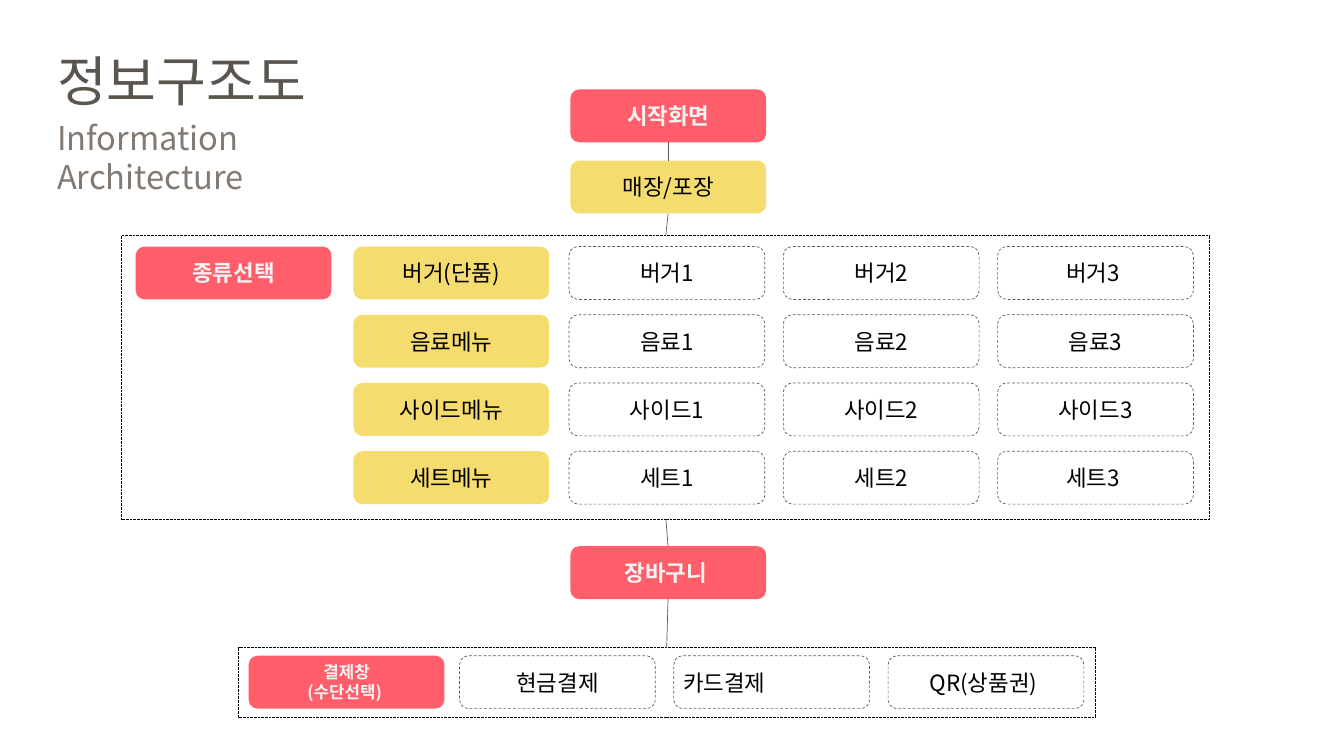
import dataclasses

import lxml.etree
import pptx
import pptx.dml.color
import pptx.enum.dml
import pptx.enum.shapes
import pptx.enum.text
import pptx.oxml.ns
import pptx.util

Cm = pptx.util.Cm
RGBColor = pptx.dml.color.RGBColor
Align = pptx.enum.text.PP_ALIGN
Anchor = pptx.enum.text.MSO_ANCHOR
Dash = pptx.enum.dml.MSO_LINE
ShapeKind = pptx.enum.shapes.MSO_SHAPE
qn = pptx.oxml.ns.qn

FONT = "Noto Sans CJK KR"
TITLE_COLOR = RGBColor(0x5B, 0x55, 0x4F)
SUBTITLE_COLOR = RGBColor(0x82, 0x7A, 0x73)
CORAL = RGBColor(0xFF, 0x42, 0x50)
YELLOW = RGBColor(0xF5, 0xDC, 0x6E)
BLACK = RGBColor(0x00, 0x00, 0x00)
GRAY = RGBColor(0x59, 0x59, 0x59)
PALE = RGBColor(0xF3, 0xF3, 0xF3)

BOX_WIDTH, BOX_HEIGHT = 7.4, 2.0
CENTER_LEFT = 21.56
CATEGORY_LEFT, ITEM_LEFT, ITEM_STEP = 13.36, 21.51, 8.1
MENU_TOP, MENU_STEP = 9.32, 2.58
PAYMENT_LEFT, PAYMENT_TOP = 17.37, 24.79


@dataclasses.dataclass(frozen=True)
class BoxStyle:
    text_color: RGBColor
    fill: RGBColor | None = None
    opacity: int = 100
    bold: bool = False


@dataclasses.dataclass(frozen=True)
class Box:
    text: str
    left: float
    top: float
    style: BoxStyle
    size: int = 24
    align: Align = Align.CENTER


@dataclasses.dataclass(frozen=True)
class Area:
    left: float
    top: float
    width: float
    height: float

    def lengths(self) -> list[Cm]:
        return [Cm(value) for value in dataclasses.astuple(self)]


@dataclasses.dataclass(frozen=True)
class Link:
    start_x: float
    start_y: float
    end_x: float
    end_y: float


SCREEN = BoxStyle(PALE, CORAL, opacity=85, bold=True)
CATEGORY = BoxStyle(BLACK, YELLOW)
ITEM = BoxStyle(BLACK)

MENUS = {
    "버거(단품)": ("버거1", "버거2", "버거3 "),
    "음료메뉴": ("음료1", "음료2", "음료3"),
    "사이드메뉴": ("사이드1", "사이드2", "사이드3"),
    "세트메뉴": ("세트1", "세트2", "세트3 "),
}
PAYMENTS = (
    ("현금결제", Align.CENTER),
    ("카드결제", Align.LEFT),
    ("QR(상품권) ", Align.CENTER),
)
FRAMES = (Area(9.02, 24.49, 32.39, 2.64), Area(4.6, 8.89, 41.12, 10.74))
LINKS = (
    Link(25.25, 5.37, 25.25, 6.07),
    Link(25.25, 8.08, 25.17, 8.89),
    Link(25.17, 19.63, 25.25, 20.65),
    Link(25.25, 22.64, 25.2, 24.49),
)


def write_text(text_frame, text: str, *, size: int, color: RGBColor,
               align: Align, bold: bool = False) -> None:
    text_frame.word_wrap = True
    for index, line in enumerate(text.split("\n")):
        paragraph = text_frame.add_paragraph() if index else text_frame.paragraphs[0]
        paragraph.alignment = align
        run = paragraph.add_run()
        run.text = line
        run.font.name = FONT
        run.font.size = pptx.util.Pt(size)
        run.font.bold = bold
        run.font.color.rgb = color
        east_asian = lxml.etree.SubElement(run.font._element, qn("a:ea"))
        east_asian.set("typeface", FONT)


def draw_heading(slide, area: Area, text: str, size: int, color: RGBColor) -> None:
    shape = slide.shapes.add_textbox(*area.lengths())
    write_text(shape.text_frame, text, size=size, color=color, align=Align.JUSTIFY)


def set_outline(line, color: RGBColor, dash: Dash | None = None) -> None:
    line.color.rgb = color
    line.width = pptx.util.Pt(0.75)
    if dash is not None:
        line.dash_style = dash


def draw_frame(slide, area: Area) -> None:
    shape = slide.shapes.add_shape(ShapeKind.RECTANGLE, *area.lengths())
    shape.shadow.inherit = False
    shape.fill.background()
    set_outline(shape.line, BLACK, Dash.ROUND_DOT)


def draw_box(slide, box: Box) -> None:
    area = Area(box.left, box.top, BOX_WIDTH, BOX_HEIGHT)
    shape = slide.shapes.add_shape(ShapeKind.ROUNDED_RECTANGLE, *area.lengths())
    shape.shadow.inherit = False
    style = box.style
    if style.fill is None:
        shape.fill.background()
        set_outline(shape.line, GRAY, Dash.DASH)
    else:
        shape.fill.solid()
        shape.fill.fore_color.rgb = style.fill
        shape.line.fill.background()
        if style.opacity < 100:
            color = shape._element.spPr.find(qn("a:solidFill"))[0]
            alpha = lxml.etree.SubElement(color, qn("a:alpha"))
            alpha.set("val", str(style.opacity * 1000))
    text_frame = shape.text_frame
    text_frame.vertical_anchor = Anchor.MIDDLE
    for side in ("left", "top", "right", "bottom"):
        setattr(text_frame, f"margin_{side}", Cm(0.25))
    write_text(text_frame, box.text, size=box.size, color=style.text_color,
               align=box.align, bold=style.bold)


def draw_link(slide, link: Link) -> None:
    ends = [Cm(value) for value in dataclasses.astuple(link)]
    connector = slide.shapes.add_connector(
        pptx.enum.shapes.MSO_CONNECTOR.STRAIGHT, *ends)
    set_outline(connector.line, GRAY)
    lxml.etree.SubElement(connector._element.spPr, qn("a:effectLst"))


def list_boxes() -> list[Box]:
    boxes = [
        Box("시작화면", CENTER_LEFT, 3.38, SCREEN),
        Box("매장/포장", CENTER_LEFT, 6.07, CATEGORY),
        Box("종류선택", 5.13, MENU_TOP, SCREEN),
    ]
    for row, (category, items) in enumerate(MENUS.items()):
        top = MENU_TOP + row * MENU_STEP
        boxes.append(Box(category, CATEGORY_LEFT, top, CATEGORY))
        for column, item in enumerate(items):
            boxes.append(Box(item, ITEM_LEFT + column * ITEM_STEP, top, ITEM))
    boxes.append(Box("장바구니 ", CENTER_LEFT, 20.65, SCREEN))
    boxes.append(Box("결제창\n(수단선택) ", 9.4, PAYMENT_TOP, SCREEN, size=18))
    for column, (payment, align) in enumerate(PAYMENTS):
        left = PAYMENT_LEFT + column * ITEM_STEP
        boxes.append(Box(payment, left, PAYMENT_TOP, ITEM, align=align))
    return boxes


def main() -> None:
    presentation = pptx.Presentation()
    presentation.slide_width = Cm(50.8)
    presentation.slide_height = Cm(28.58)
    slide = presentation.slides.add_slide(presentation.slide_layouts[6])
    draw_heading(slide, Area(1.91, 1.68, 13.89, 2.62), "정보구조도", 58, TITLE_COLOR)
    draw_heading(slide, Area(1.91, 4.32, 14.05, 1.55), "Information Architecture",
                 35, SUBTITLE_COLOR)
    for frame in FRAMES:
        draw_frame(slide, frame)
    for box in list_boxes():
        draw_box(slide, box)
    for link in LINKS:
        draw_link(slide, link)
    presentation.save("out.pptx")


if __name__ == "__main__":
    main()
